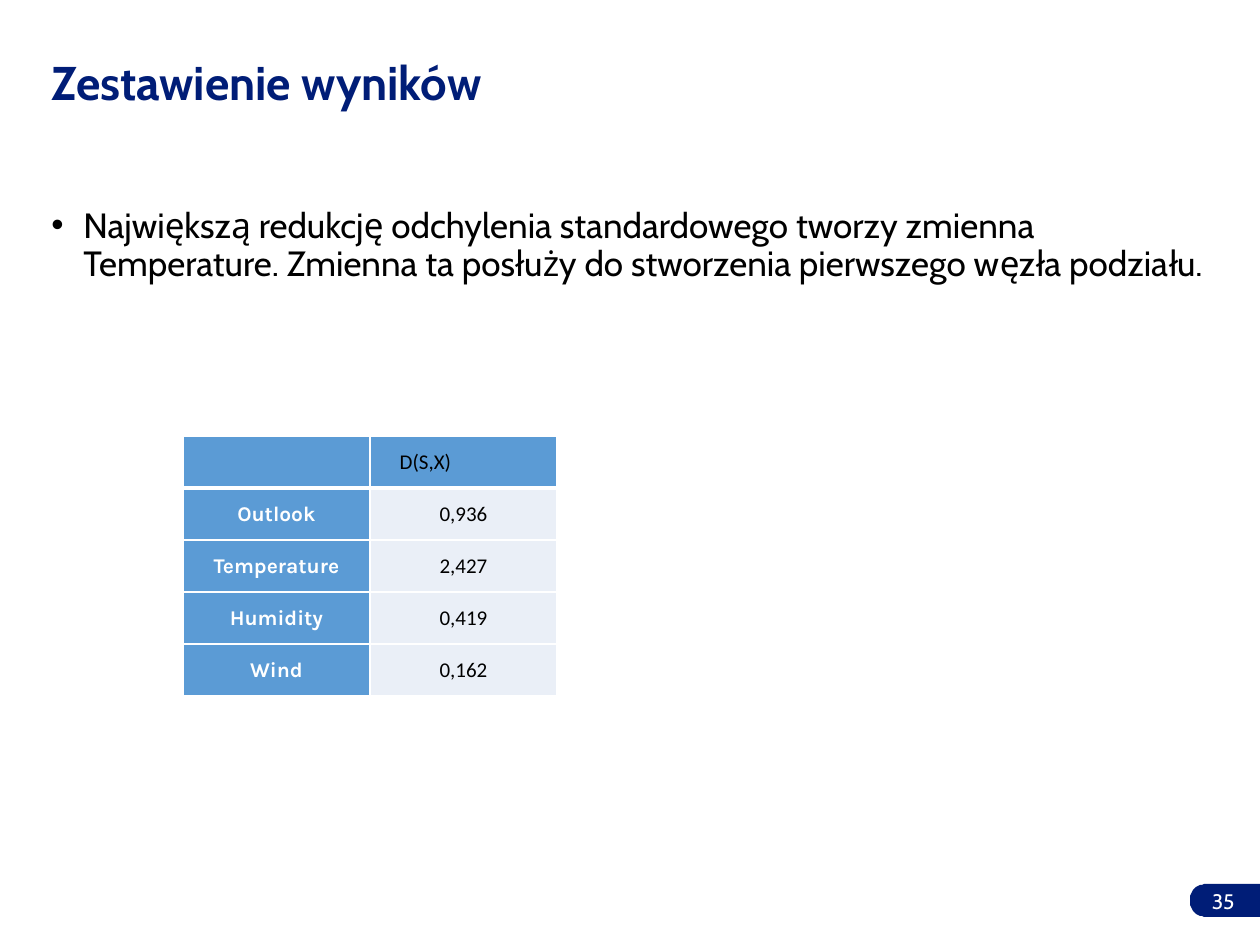
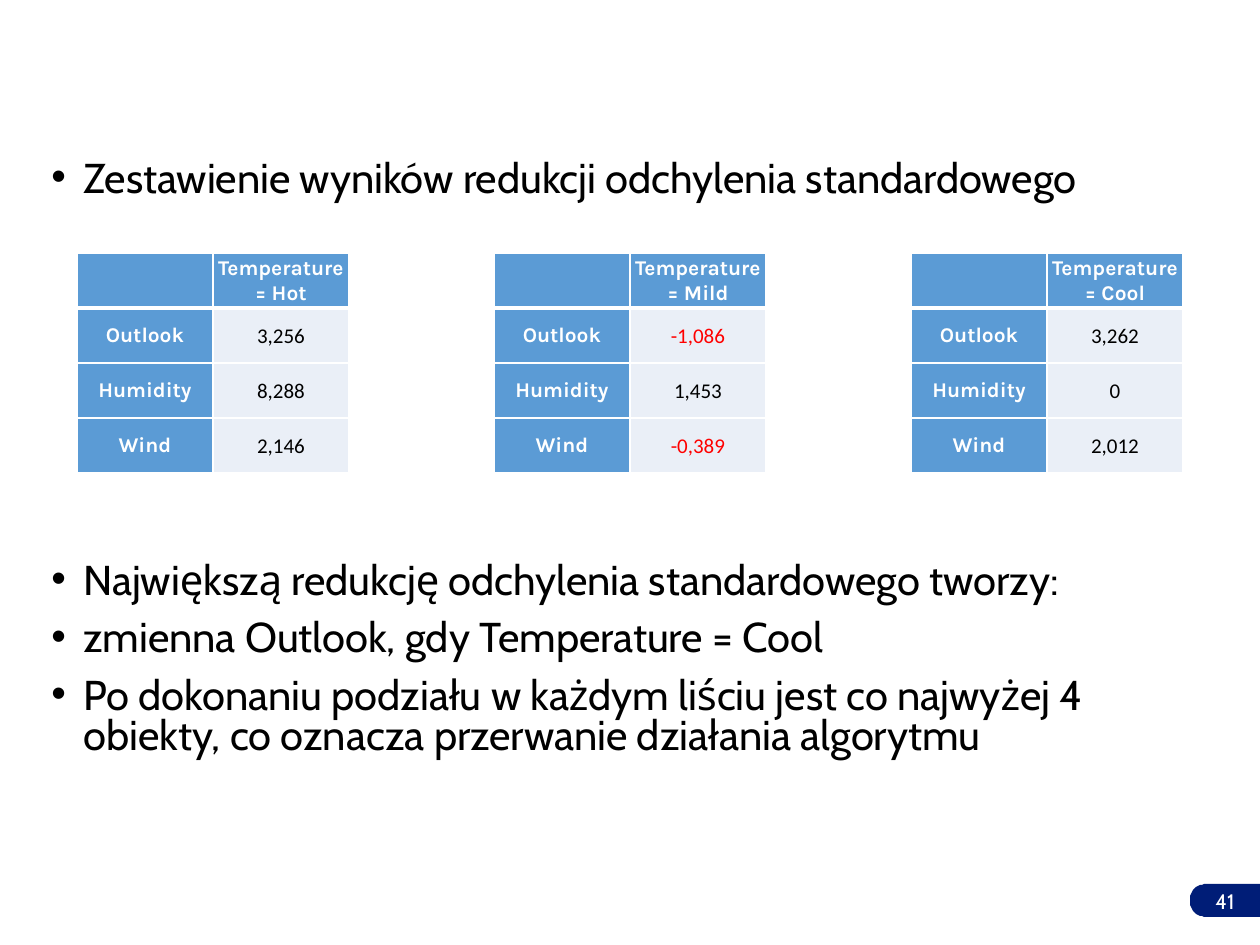
import math
from dataclasses import dataclass

from lxml import etree
from pptx import Presentation
from pptx import util as u
from pptx.dml.color import RGBColor
from pptx.enum import text
from pptx.oxml import ns

PX = 914400 / 126
COLORS = {
    "navy": "001D77",
    "header": "5B9BD5",
    "value": "EAEFF7",
    "white": "FFFFFF",
    "black": "000000",
    "negative": "FF0000",
}
BODY_FONT, LABEL_FONT, VALUE_FONT = "Cabin", "Karla", "Calibri"
SLIDE_WIDTH, SLIDE_HEIGHT = 1260, 945
MARGIN_LEFT, BULLET_INDENT = 39, 32
TAB_TOP, TAB_RADIUS, TAB_CENTER_X = 884, 16.5, 1206
LEFT, CENTER, RIGHT = text.PP_ALIGN.LEFT, text.PP_ALIGN.CENTER, text.PP_ALIGN.RIGHT
TOP, MIDDLE = text.MSO_ANCHOR.TOP, text.MSO_ANCHOR.MIDDLE


@dataclass
class Box:
    left: int
    top: int
    width: int
    height: int


@dataclass
class ResultTable:
    left: int
    top: int
    column_width: int
    row_height: int
    heading: str
    results: dict[str, str]
    heading_font: str = LABEL_FONT
    heading_color: str = "white"
    heading_inset_right: int = 1


def px(length: float) -> u.Emu:
    return u.Emu(round(length * PX))


def rgb(name: str) -> RGBColor:
    return RGBColor.from_string(COLORS[name])


def write_paragraph(paragraph, content: str, *, size: float = 12, font: str = BODY_FONT,
                    color: str = "black", bold: bool = False, align=LEFT,
                    line_spacing: float = 1.0, space_before: float = 0,
                    bullet: bool = False) -> None:
    paragraph.alignment = align
    paragraph.line_spacing = line_spacing
    paragraph.space_before = u.Pt(space_before)
    if bullet:
        properties = paragraph._p.get_or_add_pPr()
        properties.set("marL", str(px(BULLET_INDENT)))
        properties.set("indent", str(-px(BULLET_INDENT)))
        etree.SubElement(properties, ns.qn("a:buFont"), typeface="Arial")
        etree.SubElement(properties, ns.qn("a:buChar"), char="•")
    run = paragraph.add_run()
    run.text = content
    run.font.size = u.Pt(size)
    run.font.name = font
    run.font.bold = bold
    run.font.color.rgb = rgb(color)


def add_text_frame(slide, box: Box, anchor=TOP, inset_top: int = 6):
    shape = slide.shapes.add_textbox(px(box.left), px(box.top), px(box.width), px(box.height))
    frame = shape.text_frame
    frame.word_wrap = True
    frame.vertical_anchor = anchor
    frame.margin_top = px(inset_top)
    return frame


def add_title(slide, title: str) -> None:
    frame = add_text_frame(slide, Box(MARGIN_LEFT, 50, 1187, 124), inset_top=10)
    write_paragraph(frame.paragraphs[0], title, size=27, color="navy", bold=True,
                    line_spacing=0.9)


def add_bullets(slide, box: Box, bullets: list[str], *, size: float, line_spacing: float,
                gap_after_first: float = 10) -> None:
    """Write bullets; gap_after_first leaves room for tables below the first one."""
    frame = add_text_frame(slide, box)
    for index, bullet in enumerate(bullets):
        paragraph = frame.paragraphs[0] if index == 0 else frame.add_paragraph()
        write_paragraph(paragraph, bullet, size=size, line_spacing=line_spacing, bullet=True,
                        space_before=gap_after_first if index == 1 else 10)


def add_number_tab(slide) -> None:
    """Draw the tab with a round left end at the slide's right edge."""
    steps = 24
    angles = [math.pi * (0.5 + step / steps) for step in range(steps + 1)]
    center_y = TAB_TOP + TAB_RADIUS
    arc = [(TAB_CENTER_X + TAB_RADIUS * math.cos(angle),
            center_y + TAB_RADIUS * math.sin(angle)) for angle in angles]
    builder = slide.shapes.build_freeform(SLIDE_WIDTH, TAB_TOP, scale=PX)
    builder.add_line_segments([(SLIDE_WIDTH, TAB_TOP + 2 * TAB_RADIUS), *arc], close=True)
    shape = builder.convert_to_shape()
    shape.shadow.inherit = False
    shape.fill.solid()
    shape.fill.fore_color.rgb = rgb("navy")
    shape.line.fill.background()


def add_slide_number(slide, number: int) -> None:
    frame = add_text_frame(slide, Box(890, 876, 357, 50), MIDDLE)
    write_paragraph(frame.paragraphs[0], str(number), color="white", align=RIGHT)


def set_borders(cell, widths: dict[str, int]) -> None:
    """Give the cell white borders, in points, keyed L, R, T, B in that order."""
    properties = cell._tc.get_or_add_tcPr()
    for index, (side, width) in enumerate(widths.items()):
        line = etree.Element(ns.qn(f"a:ln{side}"), w=str(u.Pt(width)))
        fill = etree.SubElement(line, ns.qn("a:solidFill"))
        etree.SubElement(fill, ns.qn("a:srgbClr"), val=COLORS["white"])
        properties.insert(index, line)


def add_result_table(slide, spec: ResultTable) -> None:
    rows = [("", spec.heading), *spec.results.items()]
    table = slide.shapes.add_table(
        len(rows), 2, px(spec.left), px(spec.top),
        px(2 * spec.column_width), px(len(rows) * spec.row_height)).table
    table.first_row = table.horz_banding = False
    for column in table.columns:
        column.width = px(spec.column_width)
    for row_index, row in enumerate(rows):
        table.rows[row_index].height = px(spec.row_height)
        for column_index, content in enumerate(row):
            cell = table.cell(row_index, column_index)
            is_value = row_index > 0 and column_index == 1
            cell.fill.solid()
            cell.fill.fore_color.rgb = rgb("value" if is_value else "header")
            set_borders(cell, {"L": 1, "R": 1, "T": 3 if row_index == 1 else 1,
                               "B": 3 if row_index == 0 else 1})
            cell.vertical_anchor = MIDDLE
            cell.margin_left = cell.margin_right = cell.margin_top = px(1)
            cell.margin_bottom = 0
            font, color = LABEL_FONT, "white"
            if is_value:
                font, color = VALUE_FONT, "negative" if content.startswith("-") else "black"
            elif row_index == 0:
                font, color = spec.heading_font, spec.heading_color
                if column_index == 1:
                    cell.margin_right = px(spec.heading_inset_right)
            write_paragraph(cell.text_frame.paragraphs[0], content, font=font, color=color,
                            bold=font == LABEL_FONT, align=CENTER)


def add_base_slide(presentation):
    slide = presentation.slides.add_slide(presentation.slide_layouts[6])
    add_number_tab(slide)
    return slide


def add_summary_slide(presentation) -> None:
    slide = add_base_slide(presentation)
    add_title(slide, "Zestawienie wyników")
    add_bullets(slide, Box(MARGIN_LEFT, 202, 1187, 650), [
        "Największą redukcję odchylenia standardowego tworzy zmienna Temperature. "
        "Zmienna ta posłuży do stworzenia pierwszego węzła podziału.",
    ], size=20, line_spacing=0.9)
    add_slide_number(slide, 35)
    add_result_table(slide, ResultTable(
        183, 436, 187, 52, "D(S,X)",
        {"Outlook": "0,936", "Temperature": "2,427", "Humidity": "0,419", "Wind": "0,162"},
        VALUE_FONT, "black", heading_inset_right=77))


def add_temperature_slide(presentation) -> None:
    slide = add_base_slide(presentation)
    add_bullets(slide, Box(MARGIN_LEFT, 155, 1157, 697), [
        "Zestawienie wyników redukcji odchylenia standardowego",
        "Największą redukcję odchylenia standardowego tworzy:",
        "zmienna Outlook, gdy Temperature = Cool",
        "Po dokonaniu podziału w każdym liściu jest co najwyżej 4 obiekty, "
        "co oznacza przerwanie działania algorytmu",
    ], size=23.8, line_spacing=0.8, gap_after_first=207)
    add_slide_number(slide, 41)
    variables = ("Outlook", "Humidity", "Wind")
    reductions = {
        "Hot": ("3,256", "8,288", "2,146"),
        "Mild": ("-1,086", "1,453", "-0,389"),
        "Cool": ("3,262", "0", "2,012"),
    }
    for index, (temperature, values) in enumerate(reductions.items()):
        add_result_table(slide, ResultTable(
            77 + 417 * index, 253, 136, 55, f"Temperature = {temperature}",
            dict(zip(variables, values))))


def main() -> None:
    presentation = Presentation()
    presentation.slide_width = px(SLIDE_WIDTH)
    presentation.slide_height = px(SLIDE_HEIGHT)
    add_summary_slide(presentation)
    add_temperature_slide(presentation)
    presentation.save("out.pptx")


if __name__ == "__main__":
    main()
